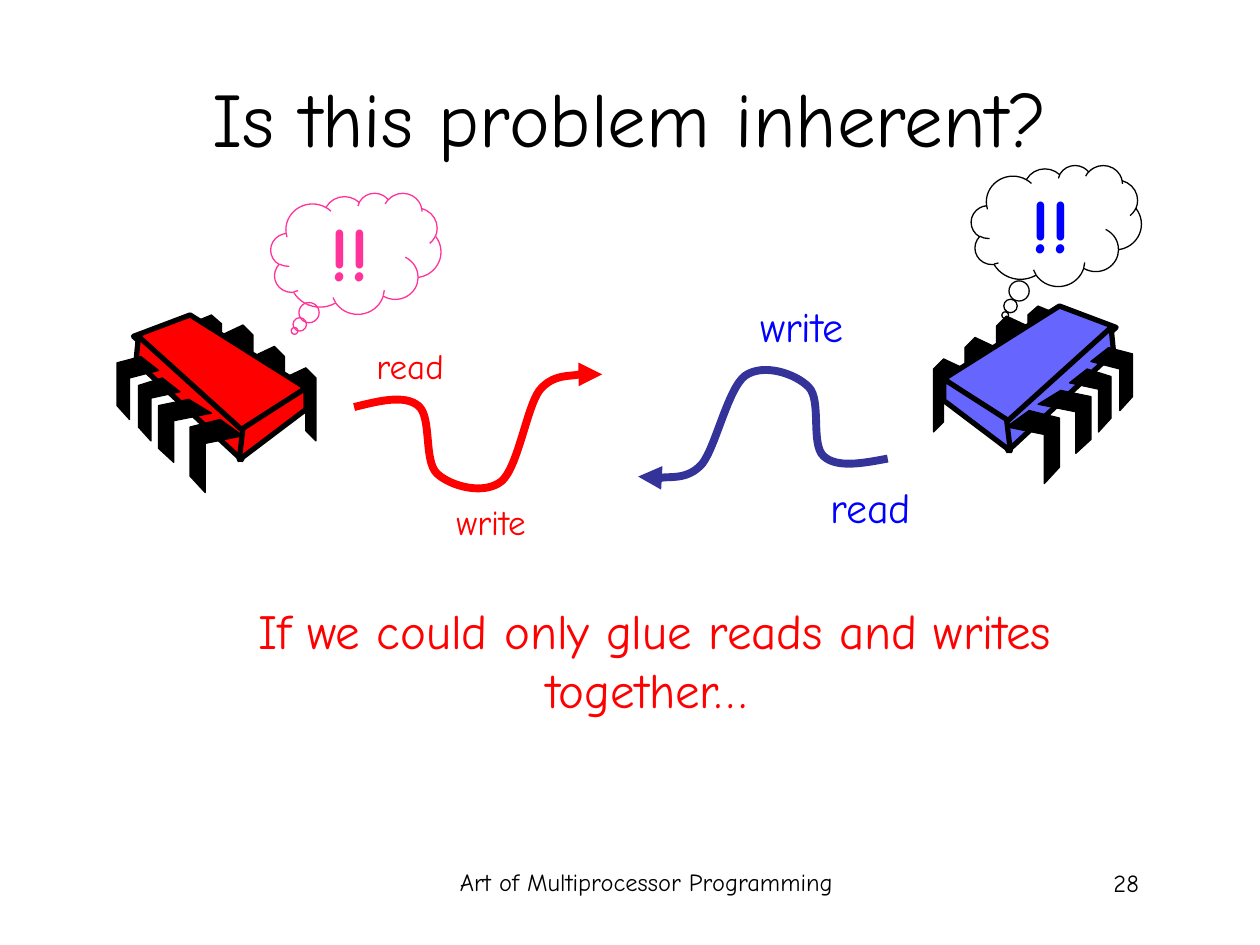
import pptx
import pptx.dml.color
import pptx.enum.shapes
import pptx.enum.text
import pptx.oxml.ns
import pptx.util
from lxml import etree

Cm, Pt = pptx.util.Cm, pptx.util.Pt
RGBColor = pptx.dml.color.RGBColor
ALIGN = pptx.enum.text.PP_ALIGN
ANCHOR = pptx.enum.text.MSO_ANCHOR
qn = pptx.oxml.ns.qn

FONT = "Comic Neue"
BLACK = RGBColor(0x00, 0x00, 0x00)
RED = RGBColor(0xFF, 0x00, 0x00)
BLUE = RGBColor(0x00, 0x00, 0xFF)
PERIWINKLE = RGBColor(0x66, 0x66, 0xFF)
NAVY = RGBColor(0x33, 0x33, 0x99)
PINK = RGBColor(0xFF, 0x33, 0x99)

# Chip drawing on a grid 158 units wide
CHIP_GRID = 158
REAR_LEG = [(0, .14), (.68, 0), (1, .14), (1, 1), (.68, .86), (.68, .28), (0, .43)]
FRONT_LEG = [(.57, 0), (1, .22), (.29, .33), (.29, 1), (0, .78), (0, .11)]
REAR_BOXES = [(133, 42, 25, 58), (108, 25, 25, 58), (83, 8, 25, 58), (58, 0, 25, 50)]
FRONT_BOXES = [(58, 83, 42, 58), (33, 67, 42, 50), (17, 50, 33, 50), (0, 33, 33, 50)]
CHIP_FACES = [
    [(58, 0), (150, 58), (99, 93), (13, 17)],
    [(17, 17), (100, 92), (99, 115), (15, 37)],
    [(150, 58), (150, 75), (97, 115), (100, 90)],
]

# Curve on a grid 197 units wide: a start, then three points per Bezier segment
CURVE_GRID = 197
CURVE = [
    (0, 29), (20, 24), (40, 19), (51, 28), (62, 37), (55, 72), (66, 82),
    (77, 92), (103, 99), (117, 88), (130, 77), (137, 30), (147, 16),
    (158, 2), (173, 5), (179, 3), (186, 0), (185, 3), (188, 3),
    (191, 3), (194, 3), (197, 3),
]


def write_text(tf, text, size, color, align, bold=False):
    p = tf.paragraphs[0]
    p.alignment = align
    r = p.add_run()
    r.text = text
    for name, value in {"name": FONT, "size": Pt(size), "bold": bold}.items():
        setattr(r.font, name, value)
    r.font.color.rgb = color


def add_label(s, box, text, size, color, align, wrap=True):
    tf = s.shapes.add_textbox(*(Cm(v) for v in box)).text_frame
    tf.word_wrap = wrap
    write_text(tf, text, size, color, align)


def style_line(sp, color, width):
    sp.shadow.inherit = False
    sp.line.color.rgb = color
    sp.line.width = Pt(width)


def add_title(s, box, text):
    sp = s.shapes.title
    for name, value in zip(("left", "top", "width", "height"), box):
        setattr(sp, name, Cm(value))
    sp.text_frame.vertical_anchor = ANCHOR.MIDDLE
    write_text(sp.text_frame, text, 44, BLACK, ALIGN.CENTER)


def add_chip(s, left, top, width, color, mirrored=False):
    group = s.shapes.add_group_shape()
    scale = Cm(width) / CHIP_GRID

    def polygon(points, fill, line_width):
        if mirrored:
            points = [(CHIP_GRID - x, y) for x, y in points]
        builder = group.shapes.build_freeform(*points[0], scale=scale)
        builder.add_line_segments(points[1:], close=True)
        sp = builder.convert_to_shape(Cm(left), Cm(top))
        sp.fill.solid()
        sp.fill.fore_color.rgb = fill
        style_line(sp, BLACK, line_width)

    def legs(outline, boxes):
        for x, y, w, h in boxes:
            polygon([(x + u * w, y + v * h) for u, v in outline], BLACK, 0.75)

    legs(REAR_LEG, REAR_BOXES)
    for face in CHIP_FACES:
        polygon(face, color, 3)
    legs(FRONT_LEG, FRONT_BOXES)


def add_curve(s, left, top, width, color, rotation=0):
    builder = s.shapes.build_freeform(*CURVE[0], scale=Cm(width) / CURVE_GRID)
    builder.add_line_segments(CURVE[1:], close=False)
    sp = builder.convert_to_shape(Cm(left), Cm(top))
    sp.rotation = rotation
    sp.fill.background()
    style_line(sp, color, 4.5)
    # Turn each run of three points into one Bezier segment
    outline = next(sp._element.iter(qn("a:path")))
    steps = outline.findall(qn("a:lnTo"))
    for i in range(0, len(steps), 3):
        bezier = etree.SubElement(outline, qn("a:cubicBezTo"))
        for step in steps[i:i + 3]:
            bezier.append(step[0])
            outline.remove(step)
    # Arrowhead at the end
    etree.SubElement(sp.line._get_or_add_ln(), qn("a:tailEnd"), type="triangle")


def add_thought(s, box, pointer, line_color, text_color):
    kind = pptx.enum.shapes.MSO_SHAPE.CLOUD_CALLOUT
    sp = s.shapes.add_shape(kind, *(Cm(v) for v in box))
    for i, value in enumerate(pointer):
        sp.adjustments[i] = value
    sp.fill.background()
    style_line(sp, line_color, 0.75)
    sp.text_frame.vertical_anchor = ANCHOR.MIDDLE
    write_text(sp.text_frame, "!!", 44, text_color, ALIGN.CENTER, bold=True)


def add_footer(s):
    add_label(s, (8.69, 17.35, 8.69, 1.32), "Art of Multiprocessor Programming",
              14, BLACK, ALIGN.CENTER)
    add_label(s, (17.93, 17.37, 5.28, 1.27), "28", 14, BLACK, ALIGN.RIGHT)


def main():
    prs = pptx.Presentation()
    prs.slide_width, prs.slide_height = Cm(25.4), Cm(19.05)
    s = prs.slides.add_slide(prs.slide_layouts.get_by_name("Title Only"))

    add_footer(s)
    add_title(s, (1.27, 0.76, 22.86, 3.18), "Is this problem inherent?")

    # Processors and their paths
    add_chip(s, 2.36, 6.35, 4.01, RED)
    add_chip(s, 18.82, 6.17, 4.01, PERIWINKLE, mirrored=True)
    add_curve(s, 7.14, 7.47, 5, RED)
    add_curve(s, 12.93, 7.32, 5, NAVY, rotation=183.4)

    # Conclusion and step labels
    add_label(s, (4.45, 11.99, 17.5, 2.62),
              "If we could only glue reads and writes together… ",
              28, RED, ALIGN.CENTER)
    for box, text, size, color in [
        ((7.19, 6.83, 2.01, 1.09), "read", 20, RED),
        ((8.59, 9.96, 2.26, 1.09), "write", 20, RED),
        ((16.31, 9.58, 2.31, 1.27), "read", 24, BLUE),
        ((14.66, 5.94, 2.59, 1.27), "write", 24, BLUE),
    ]:
        add_label(s, box, text, size, color, ALIGN.RIGHT, wrap=False)

    # Thought clouds
    add_thought(s, (5.46, 3.89, 3.43, 2.44), (-0.36, 0.64), PINK, PINK)
    add_thought(s, (19.58, 3.33, 3.43, 2.44), (-0.3, 0.74), BLACK, BLUE)

    prs.save("out.pptx")


if __name__ == "__main__":
    main()
